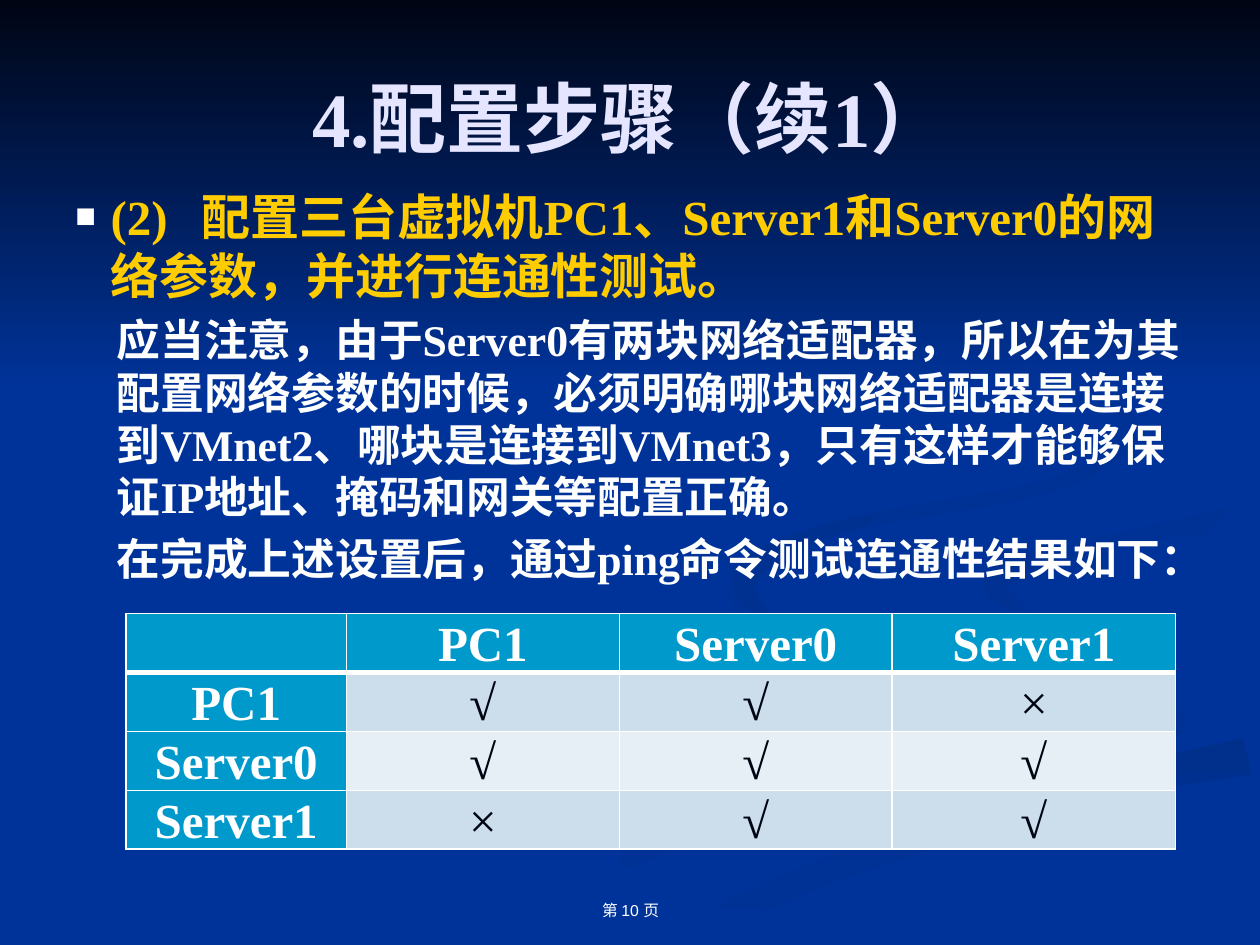
import math

from lxml import etree
from pptx import Presentation
from pptx import util as u
from pptx.dml.color import RGBColor
from pptx.enum import lang, text
from pptx.oxml import ns

UNIT = u.Inches(0.1)  # the slide is a grid of 100 columns and 75 rows
COLUMNS, ROWS = 100, 75
STEPS = 6  # smoothing steps between two points of a ribbon

WHITE = RGBColor(0xFF, 0xFF, 0xFF)
NIGHT = RGBColor(0x00, 0x05, 0x14)
BLUE = RGBColor(0x00, 0x33, 0x99)
RIBBON_BLUE = RGBColor(0x00, 0x31, 0x93)
DEEP_BLUE = RGBColor(0x00, 0x2F, 0x8C)
LAVENDER = RGBColor(0xE5, 0xE5, 0xFF)
YELLOW = RGBColor(0xFF, 0xCC, 0x00)
HEADER_BLUE = RGBColor(0x00, 0x99, 0xCC)
BANDS = RGBColor(0xCC, 0xDE, 0xEC), RGBColor(0xE7, 0xEF, 0xF6)

# First colour, last colour, angle, then column, row and width along the ribbon.
RIBBONS = [
    (BLUE, RIBBON_BLUE, 0,
     [(34, 74, 2), (55, 66, 2), (77, 60, 2), (77, 55, 1), (62, 51, 1), (57, 46, 0)]),
    (BLUE, RIBBON_BLUE, 45,
     [(89, 60, 0), (93, 57, 2), (85, 53, 1), (75, 49, 1), (72, 46, 0)]),
    (DEEP_BLUE, BLUE, 90, [(55, 74, 2), (66, 69, 2), (85, 63, 2), (99, 60, 3)]),
    (RIBBON_BLUE, BLUE, 45, [(82, 49, 0), (79, 46, 2), (88, 43, 1), (99, 41, 2)]),
    (DEEP_BLUE, BLUE, 45,
     [(76, 23, 0), (89, 32, 1), (85, 38, 1), (66, 42, 1), (59, 46, 2), (62, 50, 0)]),
]


def grid(*lengths):
    return [int(length * UNIT) for length in lengths]


def add_child(parent, tag, content=None, **attributes):
    child = etree.SubElement(parent, ns.qn(tag), attributes)
    if content:
        add_child(child, "a:srgbClr", val=str(content))
    return child


def write(paragraph, content, size, color, bold=False, font="Times New Roman",
          align=text.PP_ALIGN.LEFT, before=0, line=None):
    paragraph.alignment = align
    paragraph.space_before = u.Pt(before)
    paragraph.line_spacing = line
    run = paragraph.add_run()
    run.text = content
    run.font.name, run.font.size, run.font.bold = font, u.Pt(size), bold
    run.font.color.rgb = color
    run.font.language_id = lang.MSO_LANGUAGE_ID.SIMPLIFIED_CHINESE


def add_frame(slide, box, anchor):
    frame = slide.shapes.add_textbox(*grid(*box)).text_frame
    frame.word_wrap = True
    frame.vertical_anchor = anchor
    return frame


def smooth(points):
    """Run a Catmull-Rom curve through the points."""
    padded = [points[0], *points, points[-1]]
    curve = []
    for window in zip(padded, padded[1:], padded[2:], padded[3:]):
        for step in range(STEPS):
            t = step / STEPS
            curve.append([
                b + t * (c - a + t * (2 * a - 5 * b + 4 * c - d
                                      + t * (3 * (b - c) + d - a))) / 2
                for a, b, c, d in zip(*window)])
    return curve + [list(points[-1])]


def ribbon_outline(points):
    curve = smooth(points)
    upper, lower = [], []
    for i, (x, y, width) in enumerate(curve):
        before, after = curve[max(i - 1, 0)], curve[min(i + 1, len(curve) - 1)]
        dx, dy = after[0] - before[0], after[1] - before[1]
        half = max(width, 0) / 2 / math.hypot(dx, dy)
        upper.append((x + dy * half, y - dx * half))
        lower.append((x - dy * half, y + dx * half))
    return upper + lower[::-1]


def add_gradient_shape(slide, box, outline, first, last, angle):
    """Draw a closed outline with a gradient whose angle runs clockwise."""
    points = [grid(*point) for point in outline]
    builder = slide.shapes.build_freeform(*points[0])
    builder.add_line_segments(points[1:], close=True)
    shape = builder.convert_to_shape(*grid(*box[:2]))
    shape.shadow.inherit = False
    shape.line.fill.background()
    shape.fill.gradient()
    shape.fill.gradient_angle = -angle % 360
    for stop, color in zip(shape.fill.gradient_stops, (first, last)):
        stop.color.rgb = color


def add_backdrop(slide, box):
    slide.background.fill.solid()
    slide.background.fill.fore_color.rgb = BLUE
    width, sky_height = box[2], box[3] * 0.41
    for first, last, angle, points in RIBBONS:
        add_gradient_shape(slide, box, ribbon_outline(points), first, last, angle)
    sky = [(0, 0), (0, sky_height), (width, sky_height), (width, 0)]
    add_gradient_shape(slide, box, sky, NIGHT, BLUE, 90)


def add_line_of_text(slide, box, content, anchor, **style):
    frame = add_frame(slide, box, anchor)
    write(frame.paragraphs[0], content, align=text.PP_ALIGN.CENTER, **style)


def indent(paragraph, margin, first_line, bullet=None):
    properties = paragraph._p.get_or_add_pPr()
    properties.set("marL", str(u.Inches(margin)))
    properties.set("indent", str(u.Inches(first_line)))
    if bullet:
        add_child(properties, "a:buClr", WHITE)
        add_child(properties, "a:buSzPct", val="70000")
        add_child(properties, "a:buFont", typeface="Arial")
        add_child(properties, "a:buChar", char=bullet)


def add_body(slide, box, step, notes):
    frame = add_frame(slide, box, text.MSO_ANCHOR.TOP)
    heading = frame.paragraphs[0]
    write(heading, step, 28, YELLOW, bold=True, before=5.6)
    indent(heading, 0.28, -0.28, "■")
    for note in notes:
        paragraph = frame.add_paragraph()
        write(paragraph, note, 25, WHITE, bold=True, before=5)
        indent(paragraph, 0.33, 0)


def add_borders(cell, bottom_width):
    properties = cell._tc.get_or_add_tcPr()
    widths = {"a:lnL": 1, "a:lnR": 1, "a:lnT": 1, "a:lnB": bottom_width}
    for position, (tag, width) in enumerate(widths.items()):
        line = add_child(properties, tag, w=str(u.Pt(width)))
        add_child(line, "a:solidFill", WHITE)
        properties.insert(position, line)


def add_ping_table(slide, box, shares, rows):
    width, height = box[2:]
    table = slide.shapes.add_table(len(rows), len(shares), *grid(*box)).table
    for column, share in zip(table.columns, shares):
        column.width = grid(width * share)[0]
    for i, row in enumerate(rows):
        table.rows[i].height = grid(height / len(rows))[0]
        for j, content in enumerate(row):
            cell = table.cell(i, j)
            is_label = i == 0 or j == 0
            cell.vertical_anchor = text.MSO_ANCHOR.BOTTOM
            cell.margin_left = cell.margin_right = u.Inches(0.07)
            cell.margin_top = cell.margin_bottom = 0
            cell.fill.solid()
            cell.fill.fore_color.rgb = HEADER_BLUE if is_label else BANDS[(i - 1) % 2]
            add_borders(cell, 3 if i == 0 else 1)
            if content:
                write(cell.text_frame.paragraphs[0], content, 28,
                      WHITE if is_label else NIGHT, bold=is_label,
                      align=text.PP_ALIGN.CENTER,
                      line=None if is_label else u.Pt(14))


def main():
    presentation = Presentation()
    presentation.slide_width, presentation.slide_height = grid(COLUMNS, ROWS)
    slide = presentation.slides.add_slide(presentation.slide_layouts[6])
    add_backdrop(slide, (0, 0, COLUMNS, ROWS))
    add_line_of_text(slide, (34.2, 68.3, 31.7, 5.2), "第 10 页",
                     text.MSO_ANCHOR.BOTTOM, size=9, color=WHITE, font="Arial")
    add_line_of_text(slide, (5, 3, 90, 12.5), "4.配置步骤（续1）",
                     text.MSO_ANCHOR.MIDDLE, size=44, color=LAVENDER, bold=True)
    add_body(slide, (5, 14.3, 90, 49.5),
             "(2)\t配置三台虚拟机PC1、Server1和Server0的网络参数，并进行连通性测试。",
             ["应当注意，由于Server0有两块网络适配器，所以在为其配置网络参数的时候，"
              "必须明确哪块网络适配器是连接到VMnet2、哪块是连接到VMnet3，"
              "只有这样才能够保证IP地址、掩码和网关等配置正确。",
              "在完成上述设置后，通过ping命令测试连通性结果如下："])
    add_ping_table(slide, (10, 48.7, 83.3, 17.2), (0.21, 0.26, 0.26, 0.27), [
        ("", "PC1", "Server0", "Server1"),
        ("PC1", "√", "√", "×"),
        ("Server0", "√", "√", "√"),
        ("Server1", "×", "√", "√")])
    presentation.save("out.pptx")


if __name__ == "__main__":
    main()
